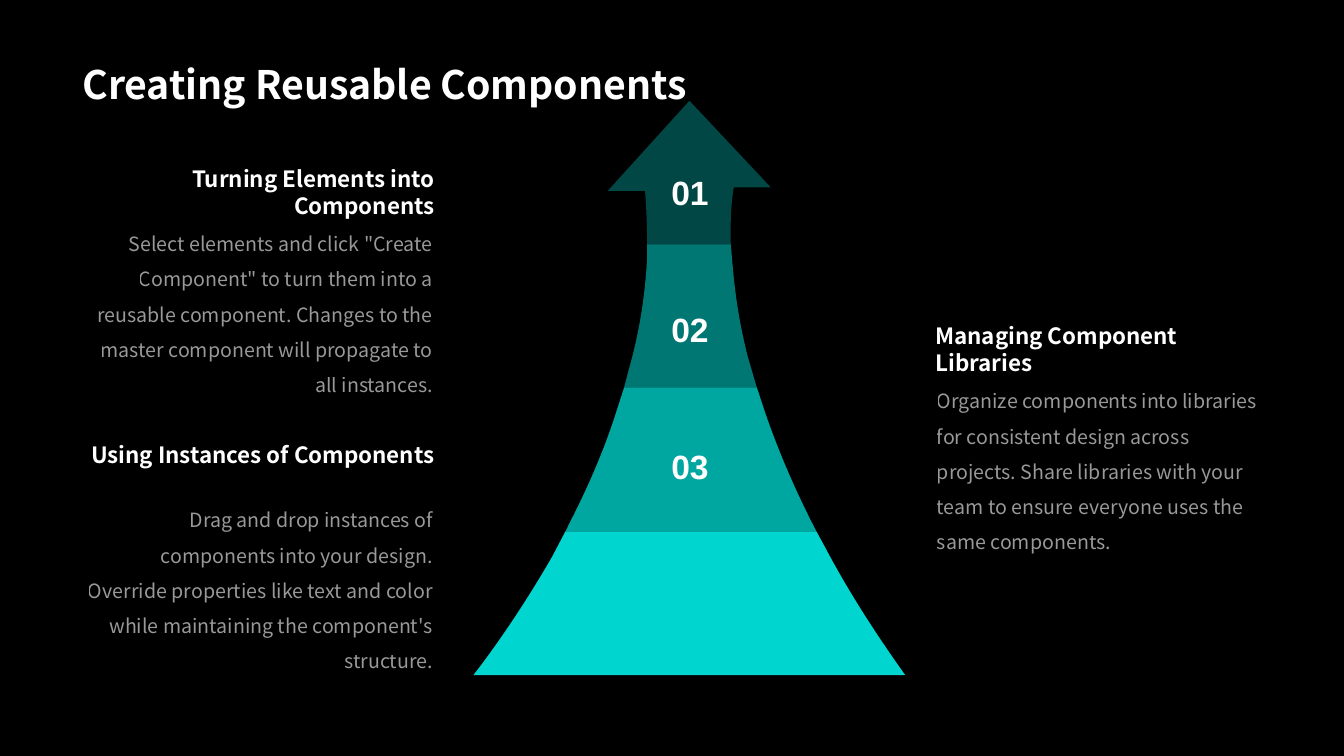
from lxml import etree
from pptx import Presentation
from pptx.dml.color import RGBColor
from pptx.enum.text import MSO_ANCHOR, PP_ALIGN
from pptx.oxml.ns import qn
from pptx.util import Pt

LEFT, RIGHT, CENTER = PP_ALIGN.LEFT, PP_ALIGN.RIGHT, PP_ALIGN.CENTER
TOP, BOTTOM = MSO_ANCHOR.TOP, MSO_ANCHOR.BOTTOM
COLORS = {"background": "000000", "text": "FFFFFF", "arrow": "01EEE6"}
SANS, NUMBER_FONT = "Noto Sans CJK SC", "Arial"

TITLE = "Creating Reusable Components"
LEFT_COLUMN = (51.84, 265.7, RIGHT)
RIGHT_COLUMN = (661, 246.2, LEFT)
SECTIONS = [
    (LEFT_COLUMN, 110.9, "Turning Elements into Components",
     'Select elements and click "Create Component" to turn them into a reusable '
     "component. Changes to the master component will propagate to all instances."),
    (RIGHT_COLUMN, 223.2, "Managing Component Libraries",
     "Organize components into libraries for consistent design across projects. "
     "Share libraries with your team to ensure everyone uses the same components."),
    (LEFT_COLUMN, 308.2, "Using Instances of Components",
     "Drag and drop instances of components into your design. Override properties "
     "like text and color while maintaining the component's structure."),
]
NUMBERS = ["01", "02", "03"]

# Band edges from the arrow tip to its foot
Y0, Y1, Y2, Y3, Y4 = [72 + 102.55 * i for i in range(5)]
# Opacity in percent, then outline: pairs are corners, sextuples are cubic curves
BANDS = [
    (30, [(492.5, Y0), (550.6, 133.9), (524.2, 133.9),
          (524.2, 133.9, 521.3, 147.6, 522, 173.5), (522, Y1), (462.2, Y1),
          (462.2, 168.5), (462.2, 157.7, 461.5, 146.9, 460.8, 136.3), (434.2, 136.3)]),
    (50, [(462.2, Y1), (522, Y1), (523.4, 190.1),
          (524.9, 208.1, 527.8, 229.7, 534.2, 254.9), (540.7, Y2), (445.7, Y2),
          (449.3, 263.5), (456.5, 238.3, 460.8, 211.7, 462.2, 185)]),
    (70, [(445.7, Y2), (540.7, Y2), (542.2, 281.5),
          (550.8, 308.9, 563, 339.8, 579.9, 373.2), (583.2, Y3), (403.9, Y3),
          (406.8, 373.7), (419, 349.9, 431.3, 322.6, 440.6, 293)]),
    (90, [(403.9, Y3), (583.2, Y3), (589, 390.2),
          (604.1, 419, 623.5, 450, 646.6, Y4), (338.2, Y4),
          (342, 477.4, 367.2, 445, 394.6, 397.4)]),
]


def set_opacity(shape, percent):
    for color in shape.element.iter(qn("a:srgbClr")):
        etree.SubElement(color, qn("a:alpha"), val=str(percent * 1000))


def bend_segments(shape, outline):
    """Turn the straight segments that stand for curves into cubic curves."""
    segments = list(shape.element.iter(qn("a:lnTo")))
    for segment, step in zip(segments, outline[1:]):
        if len(step) == 2:
            continue
        curve = etree.Element(qn("a:cubicBezTo"))
        for x, y in zip(step[::2], step[1::2]):
            etree.SubElement(curve, qn("a:pt"), x=str(Pt(x) - shape.left),
                             y=str(Pt(y) - shape.top))
        segment.getparent().replace(segment, curve)


def add_band(slide, opacity, outline):
    ends = [(Pt(step[-2]), Pt(step[-1])) for step in outline]
    builder = slide.shapes.build_freeform(*ends[0])
    builder.add_line_segments(ends[1:], close=True)
    shape = builder.convert_to_shape()
    bend_segments(shape, outline)
    shape.shadow.inherit = False
    shape.fill.solid()
    shape.fill.fore_color.rgb = RGBColor.from_string(COLORS["arrow"])
    shape.line.fill.background()
    set_opacity(shape, opacity)


def add_text(slide, box, text, size, align=LEFT, anchor=TOP, font=SANS, bold=True,
             inset=7.2, inset_y=None, spacing=1.0, wrap=True):
    shape = slide.shapes.add_textbox(*[Pt(length) for length in box])
    side, end = Pt(inset), Pt(inset if inset_y is None else inset_y)
    paragraph = shape.text_frame.paragraphs[0]
    run = paragraph.add_run()
    run.text = text
    formats = [
        (shape.text_frame, {"word_wrap": wrap, "vertical_anchor": anchor,
                            "margin_left": side, "margin_right": side,
                            "margin_top": end, "margin_bottom": end}),
        (paragraph, {"alignment": align, "line_spacing": spacing}),
        (run.font, {"name": font, "size": Pt(size), "bold": bold}),
        (run.font.color, {"rgb": RGBColor.from_string(COLORS["text"])}),
    ]
    for target, values in formats:
        for name, value in values.items():
            setattr(target, name, value)
    return shape


def main():
    presentation = Presentation()
    presentation.slide_width, presentation.slide_height = Pt(960), Pt(540)
    slide = presentation.slides.add_slide(presentation.slide_layouts[6])
    slide.background.fill.solid()
    slide.background.fill.fore_color.rgb = RGBColor.from_string(COLORS["background"])

    add_text(slide, (51.84, 0, 855.4, 80.6), TITLE, 28, anchor=BOTTOM,
             inset_y=3.6, spacing=0.9)
    for (left, width, align), top, heading, body in SECTIONS:
        add_text(slide, (left, top, width, 33.8), heading, 16, align)
        description = add_text(slide, (left, top + 38.2, width, 141.1), body, 14, align,
                               bold=False, inset=8.2, spacing=1.5)
        set_opacity(description, 60)
    for opacity, outline in BANDS:
        add_band(slide, opacity, outline)
    for i, number in enumerate(NUMBERS):
        add_text(slide, (470.9, 115.5 + 97.9 * i, 43.9, 43.2), number, 24, CENTER, BOTTOM,
                 font=NUMBER_FONT, wrap=False)
    presentation.save("out.pptx")


if __name__ == "__main__":
    main()
